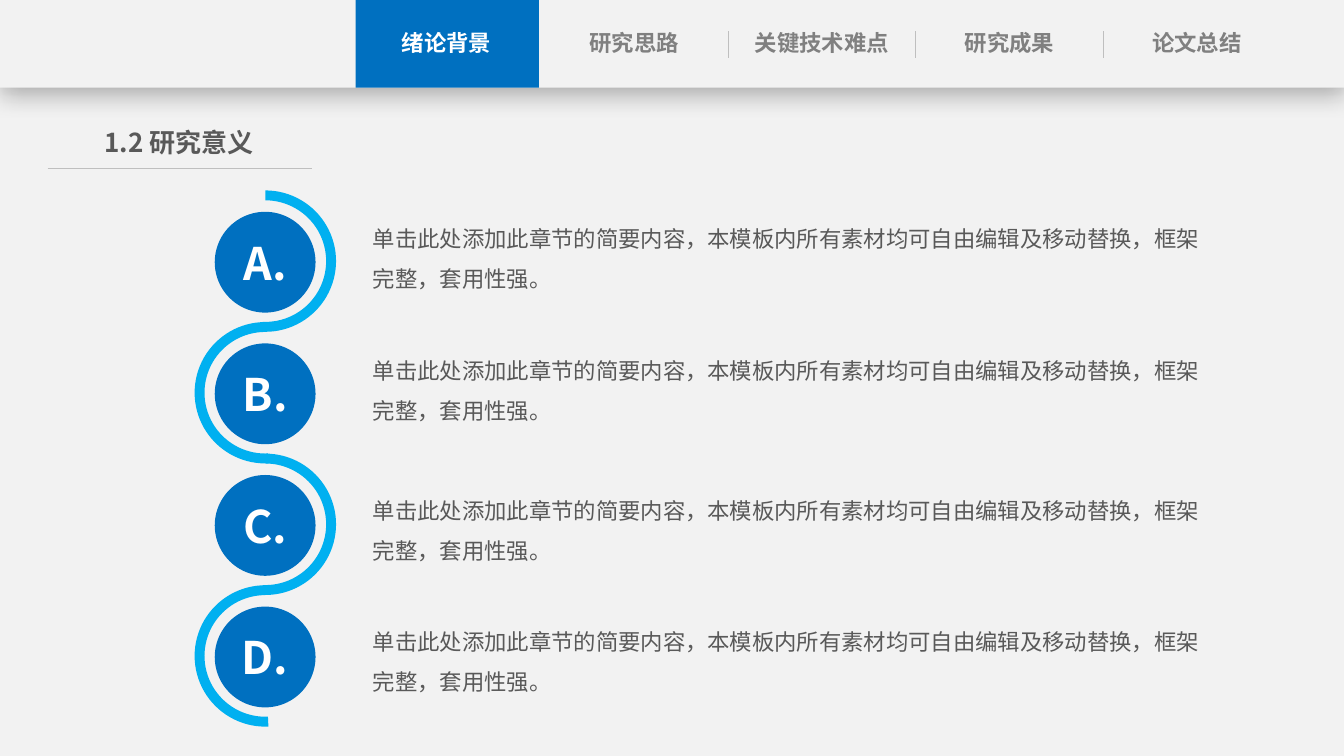
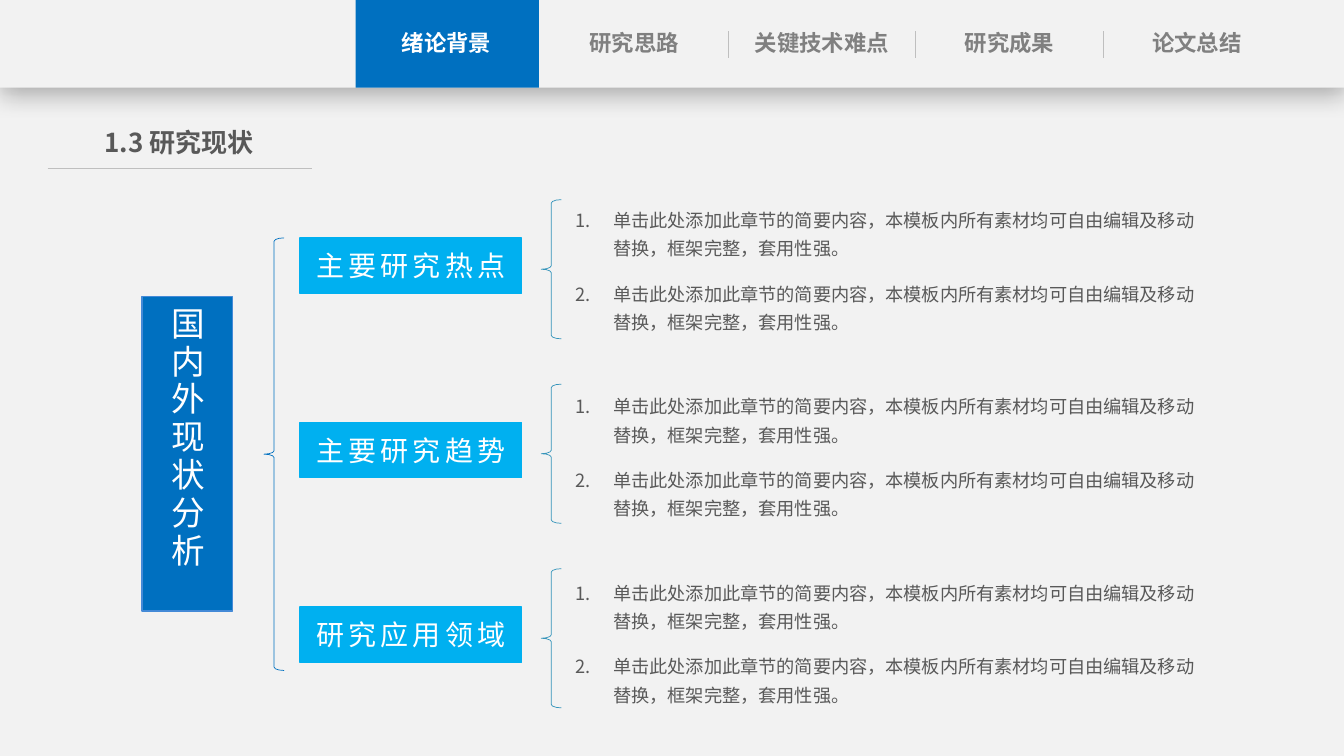
from dataclasses import dataclass

from lxml import etree
from pptx import Presentation
from pptx.dml.color import RGBColor
from pptx.enum import shapes, text
from pptx.oxml import ns
from pptx.util import Pt

SHAPE = shapes.MSO_SHAPE
ALIGN = text.PP_ALIGN
ANCHOR = text.MSO_ANCHOR


@dataclass(frozen=True)
class Theme:
    font: str = "Noto Sans CJK SC"
    paper: str = "F2F2F2"
    primary: str = "0070C0"
    accent: str = "00B0F0"
    frame: str = "448AD7"
    brace: str = "3494BA"
    rule: str = "BFBFBF"
    ink: str = "595959"
    muted: str = "808080"
    white: str = "FFFFFF"
    shadow: str = "000000"
    title_size: float = 18.6
    tab_size: float = 16
    body_size: float = 16
    list_size: float = 13
    letter_size: float = 32
    topic_size: float = 24
    branch_size: float = 20


THEME = Theme()
TABS = ("绪论背景", "研究思路", "关键技术难点", "研究成果", "论文总结")
SUMMARY = "单击此处添加此章节的简要内容，本模板内所有素材均可自由编辑及移动替换，框架完整，套用性强。"
BRANCHES = ("主要研究热点", "主要研究趋势", "研究应用领域")
COMPARISON_LAYOUT = 4  # a title and four body placeholders


def rgb(colour):
    return RGBColor.from_string(colour)


def sub(parent, tag, **attributes):
    return etree.SubElement(parent, ns.qn(tag), attributes)


def place(shape, left, top, width, height):
    shape.left, shape.top = Pt(left), Pt(top)
    shape.width, shape.height = Pt(width), Pt(height)


def set_bullet(paragraph, numbered, hanging):
    properties = paragraph._p.get_or_add_pPr()
    properties.set("marL", str(Pt(hanging)))
    properties.set("indent", str(-Pt(hanging)))
    if numbered:
        sub(properties, "a:buFont", typeface=THEME.font)
        sub(properties, "a:buAutoNum", type="arabicPeriod")
    else:
        sub(properties, "a:buNone")


def write(shape, *lines, size, colour=THEME.ink, bold=False, align=ALIGN.LEFT,
          anchor=ANCHOR.TOP, margins=(7.2, 3.6), line_spacing=1.0, gap=0,
          tracking=0, numbered=False, hanging=0):
    """Fill a shape with one paragraph per line; margins are (sides, top and bottom)."""
    frame = shape.text_frame
    frame.word_wrap = True
    frame.auto_size = text.MSO_AUTO_SIZE.NONE
    frame.vertical_anchor = anchor
    frame.margin_left = frame.margin_right = Pt(margins[0])
    frame.margin_top = frame.margin_bottom = Pt(margins[1])
    for index, line in enumerate(lines):
        paragraph = frame.add_paragraph() if index else frame.paragraphs[0]
        paragraph.alignment = align
        paragraph.line_spacing = line_spacing
        paragraph.space_before = paragraph.space_after = Pt(gap)
        set_bullet(paragraph, numbered, hanging)
        run = paragraph.add_run()
        run.text = line
        run.font.size = Pt(size)
        run.font.bold = bold
        run.font.color.rgb = rgb(colour)
        run.font.name = THEME.font
        properties = run._r.get_or_add_rPr()
        sub(properties, "a:ea", typeface=THEME.font)
        if tracking:
            properties.set("spc", str(tracking * 100))


def add_block(slide, kind, box, fill=None, line=None, line_width=1, adjust=()):
    block = slide.shapes.add_shape(kind, *map(Pt, box))
    block.shadow.inherit = False
    if fill:
        block.fill.solid()
        block.fill.fore_color.rgb = rgb(fill)
    else:
        block.fill.background()
    if line:
        block.line.color.rgb = rgb(line)
        block.line.width = Pt(line_width)
    else:
        block.line.fill.background()
    for index, value in enumerate(adjust):
        block.adjustments[index] = value
    return block


def add_brace(slide, box, colour):
    add_block(slide, SHAPE.LEFT_BRACE, box, line=colour, line_width=0.5,
              adjust=(0.17, 0.5))


def add_rule(slide, *ends):
    rule = slide.shapes.add_connector(shapes.MSO_CONNECTOR.STRAIGHT, *map(Pt, ends))
    rule.line.color.rgb = rgb(THEME.rule)
    rule.line.width = Pt(0.5)
    sub(rule._element.spPr, "a:effectLst")


def add_drop_shadow(shape):
    effects = shape._element.spPr.find(ns.qn("a:effectLst"))
    shadow = sub(effects, "a:outerShdw", blurRad=str(Pt(18)), dist=str(Pt(4)),
                 dir="5400000", algn="t", rotWithShape="0")
    colour = sub(shadow, "a:srgbClr", val=THEME.shadow)
    sub(colour, "a:alpha", val="29000")


def add_navigation(slide, active=0):
    pitch, band_height = 134, 62.6
    band = add_block(slide, SHAPE.RECTANGLE, (0, 0, 960, band_height), THEME.paper)
    add_drop_shadow(band)
    add_block(slide, SHAPE.RECTANGLE, (254 + active * pitch, 0, 131, band_height),
              THEME.primary)
    for index, label in enumerate(TABS):
        tab = slide.shapes.add_textbox(Pt(266 + index * pitch), Pt(17.3), Pt(106), Pt(27.4))
        write(tab, label, size=THEME.tab_size, bold=True, align=ALIGN.CENTER,
              margins=(0, 3.6),
              colour=THEME.white if index == active else THEME.muted)
    for index in range(3):
        x = 520 + index * pitch
        add_rule(slide, x, 22.3, x, 41.8)


def add_section_slide(deck, heading, body_count):
    """Add a slide with navigation and heading; return it with its body placeholders."""
    slide = deck.slides.add_slide(deck.slide_layouts[COMPARISON_LAYOUT])
    title, *bodies = slide.placeholders
    for spare in bodies[body_count:]:
        spare._element.getparent().remove(spare._element)
    add_navigation(slide)
    place(title, 64, 87, 128, 30)
    write(title, heading, size=THEME.title_size, bold=True, align=ALIGN.CENTER,
          margins=(0, 3.6))
    add_rule(slide, 34, 120.5, 223, 120.5)
    return slide, bodies[:body_count]


def build_significance(deck):
    slide, bodies = add_section_slide(deck, "1.2 研究意义", 4)
    pitch = 94
    # Each half ring runs slightly past its lower end to join the next one.
    right_half, left_half = (90, (108, 1.5, 0.07)), (270, (106.5, 0, 0.07))
    for index in range(4):
        rotation, adjust = left_half if index % 2 else right_half
        ring = add_block(slide, SHAPE.BLOCK_ARC, (139, 136 + index * pitch, 101, 101),
                         THEME.accent, adjust=adjust)
        ring.rotation = rotation
    for index, letter in enumerate("ABCD"):
        disc = add_block(slide, SHAPE.OVAL, (153.4, 151.3 + index * pitch, 72, 72),
                         THEME.primary)
        write(disc, f"{letter}.", size=THEME.letter_size, bold=True,
              colour=THEME.white, align=ALIGN.CENTER, anchor=ANCHOR.MIDDLE)
    for body, top in zip(bodies, (151.2, 245.5, 345.6, 439.2)):
        place(body, 266.4, top, 596, 58)
        write(body, SUMMARY, size=THEME.body_size, margins=(0, 0), line_spacing=1.5)


def build_status(deck):
    slide, bodies = add_section_slide(deck, "1.3 研究现状", len(BRANCHES))
    topic = add_block(slide, SHAPE.RECTANGLE, (101.5, 212, 64.8, 224.6),
                      THEME.primary, THEME.frame)
    write(topic, "国内外现状分析", size=THEME.topic_size, colour=THEME.white,
          anchor=ANCHOR.MIDDLE, tracking=3)
    topic.text_frame._txBody.bodyPr.set("vert", "eaVert")
    add_brace(slide, (188.6, 169.9, 14.4, 309), THEME.primary)
    for index, (label, body) in enumerate(zip(BRANCHES, bodies)):
        offset = index * 131.8
        branch = add_block(slide, SHAPE.RECTANGLE, (214.2, 169.9 + offset, 158.4, 39.6),
                           THEME.accent, THEME.accent)
        write(branch, label, size=THEME.branch_size, colour=THEME.white,
              align=ALIGN.CENTER, anchor=ANCHOR.MIDDLE, tracking=3)
        add_brace(slide, (386.6, 142.6 + offset, 14.4, 99.4), THEME.brace)
        place(body, 403.9, 141.1 + index * 133.2, 456.5, 100.8)
        write(body, SUMMARY, SUMMARY, size=THEME.list_size, line_spacing=1.3,
              gap=6, numbered=True, hanging=27)


def main():
    deck = Presentation()
    deck.slide_width, deck.slide_height = Pt(960), Pt(540)
    background = deck.slide_master.background.fill
    background.solid()
    background.fore_color.rgb = rgb(THEME.paper)
    build_significance(deck)
    build_status(deck)
    deck.save("out.pptx")


if __name__ == "__main__":
    main()
